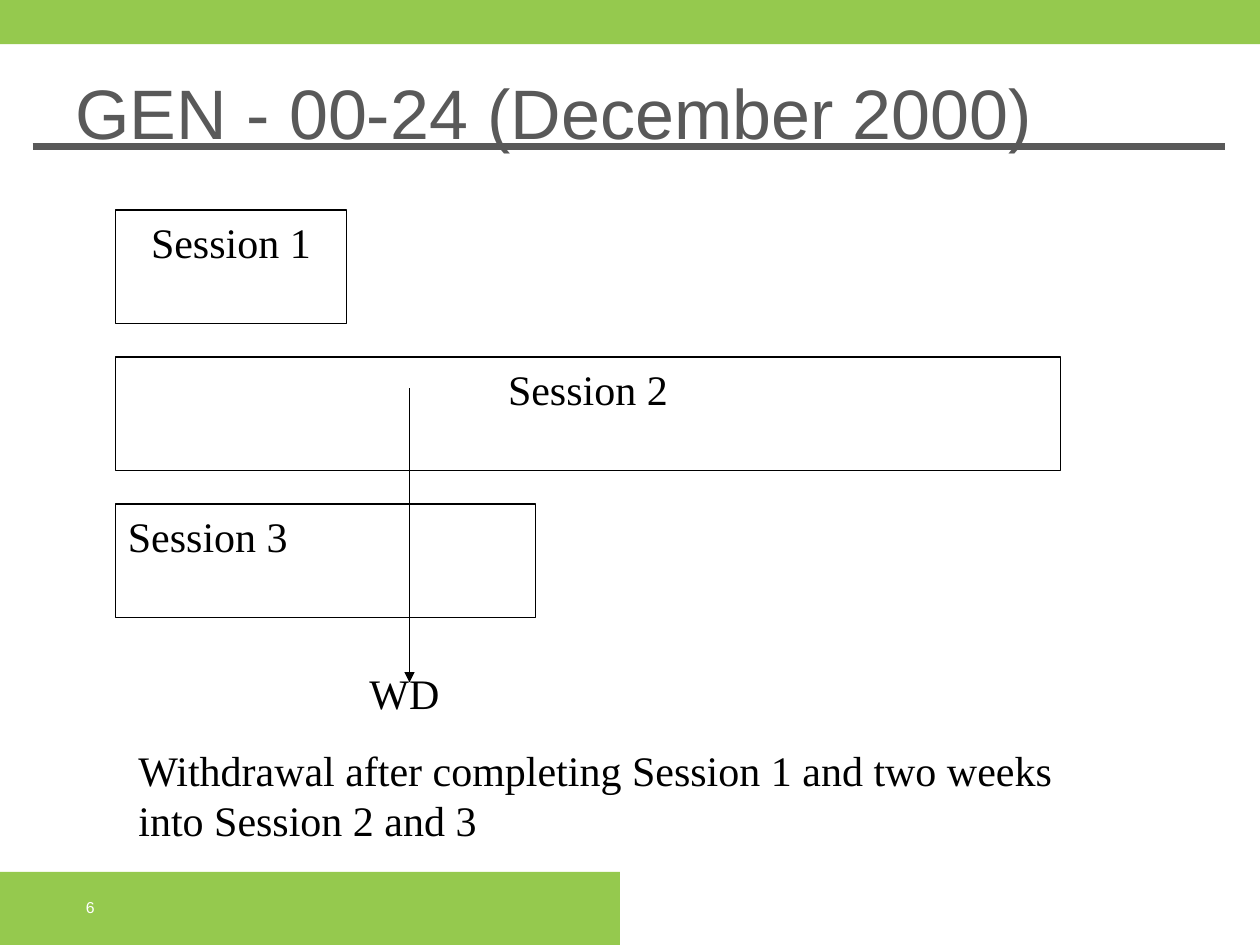
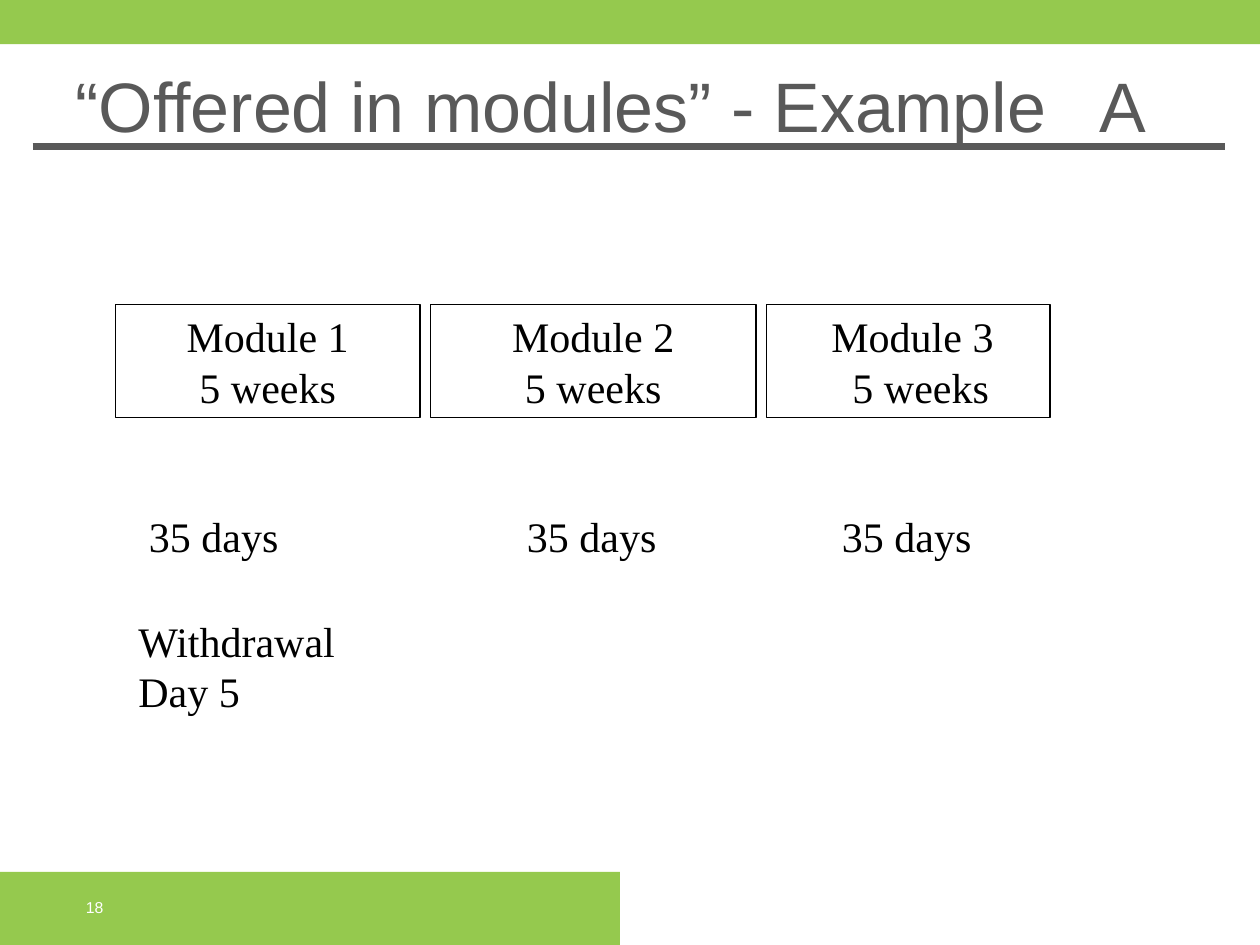
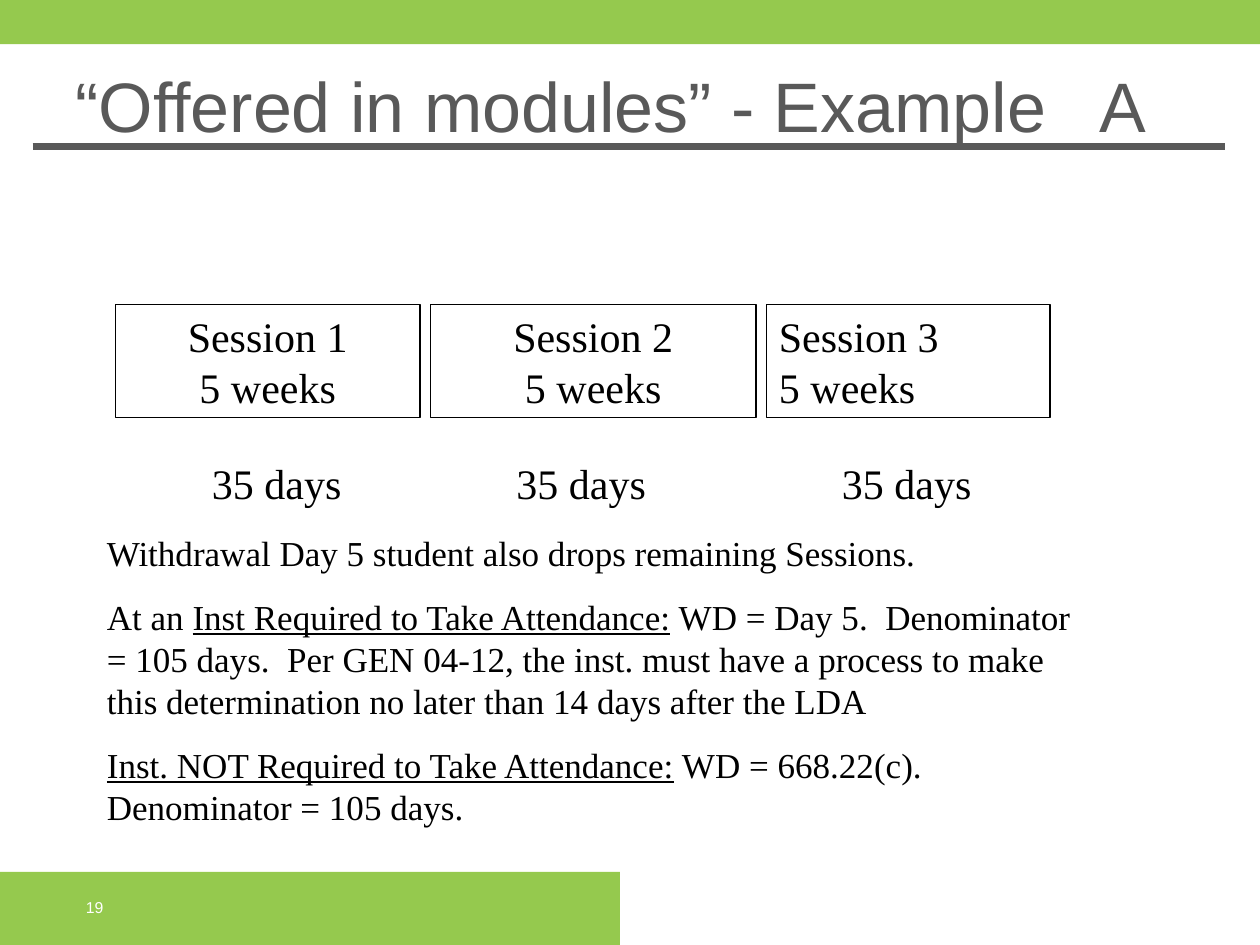
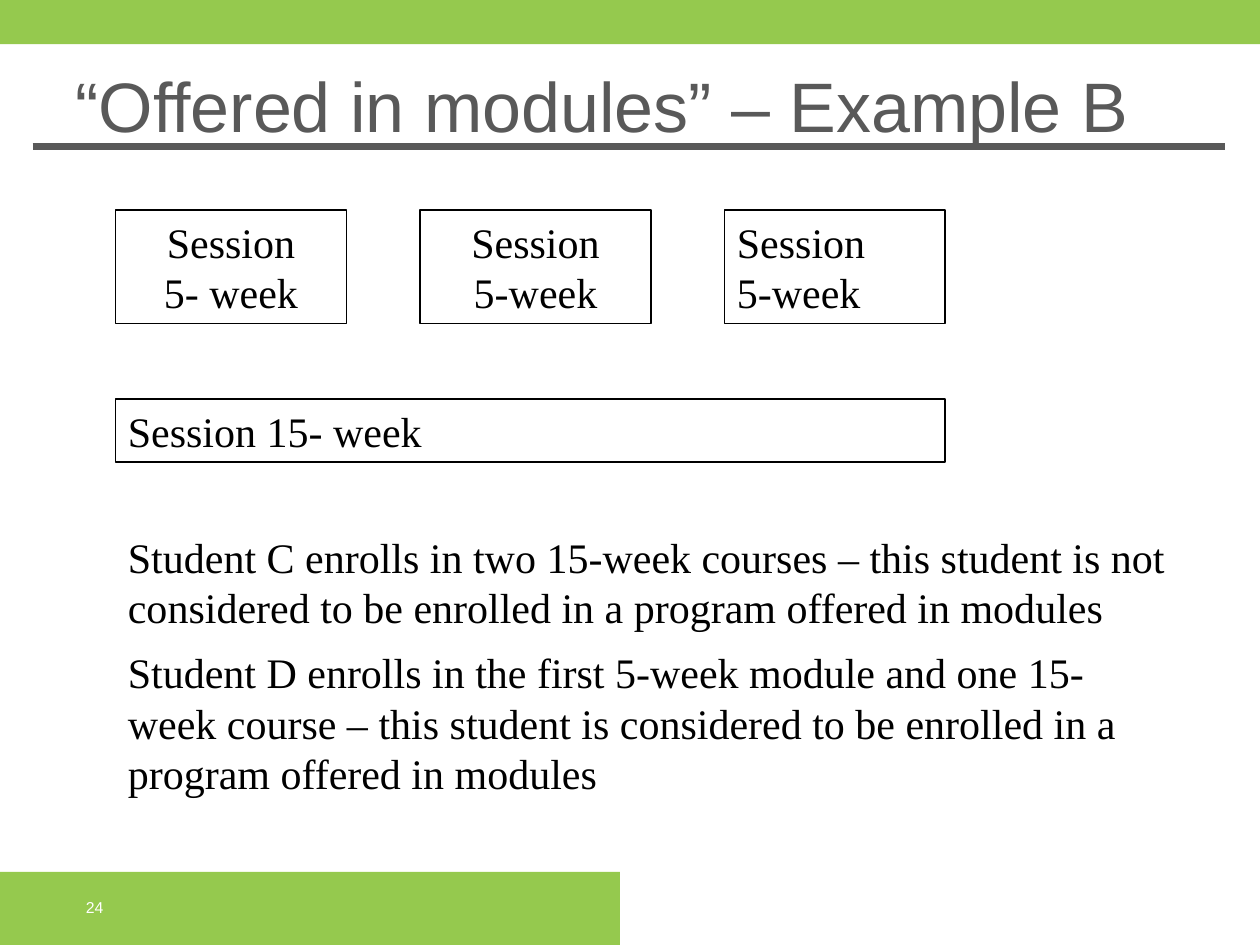
from pptx import Presentation
from pptx.dml.color import RGBColor
from pptx.enum.shapes import MSO_CONNECTOR, MSO_SHAPE
from pptx.enum.text import MSO_ANCHOR, MSO_AUTO_SIZE, PP_ALIGN
from pptx.oxml.ns import qn
from pptx.util import Pt
from lxml import etree

RECT = MSO_SHAPE.RECTANGLE
LINE = MSO_CONNECTOR.STRAIGHT
TOP, MID = MSO_ANCHOR.TOP, MSO_ANCHOR.MIDDLE
LEFT, MIDDLE = PP_ALIGN.LEFT, PP_ALIGN.CENTER
FIXED = MSO_AUTO_SIZE.NONE

GREEN = RGBColor(0x95, 0xC9, 0x4E)
GREY = RGBColor(0x59, 0x59, 0x59)
BLACK = RGBColor(0, 0, 0)
WHITE = RGBColor(255, 255, 255)

SANS, SERIF = "Arial", "Times New Roman"
EDGE = 66
TALL = 64.8


def write(frame, paras, size=24, font=SERIF, color=BLACK, align=LEFT,
          gap=0, indents=(), anchor=TOP):
    frame.word_wrap = True
    frame.auto_size = FIXED
    frame.vertical_anchor = anchor
    frame.margin_left = frame.margin_right = Pt(7.2)
    frame.margin_top = frame.margin_bottom = Pt(3.6)
    for i, runs in enumerate(paras):
        para = frame.add_paragraph() if i else frame.paragraphs[0]
        para.alignment = align
        if i and gap:
            para.space_before = Pt(gap)
        if i < len(indents):
            para._p.get_or_add_pPr().set("marL", str(Pt(indents[i])))
        for part in [runs] if isinstance(runs, str) else runs:
            words, under = (part, False) if isinstance(part, str) else part
            run = para.add_run()
            run.text = words
            run.font.name = font
            run.font.size = Pt(size)
            run.font.color.rgb = color
            if under:
                run.font.underline = True


def note(slide, x, y, w, h, paras, **style):
    box = slide.shapes.add_textbox(Pt(x), Pt(y), Pt(w), Pt(h))
    write(box.text_frame, paras, **style)


def block(slide, x, y, w, h):
    shape = slide.shapes.add_shape(RECT, Pt(x), Pt(y), Pt(w), Pt(h))
    shape.shadow.inherit = False
    return shape


def band(slide, x, y, w, h):
    shape = block(slide, x, y, w, h)
    shape.fill.solid()
    shape.fill.fore_color.rgb = GREEN
    shape.line.fill.background()
    return shape


def card(slide, x, y, w, h, paras, **style):
    shape = block(slide, x, y, w, h)
    shape.fill.background()
    shape.line.color.rgb = BLACK
    shape.line.width = Pt(0.75)
    write(shape.text_frame, paras, **style)


def stroke(slide, x1, y1, x2, y2, color, width, arrow=False):
    line = slide.shapes.add_connector(LINE, Pt(x1), Pt(y1), Pt(x2), Pt(y2))
    line.line.color.rgb = color
    line.line.width = Pt(width)
    props = line.element.spPr
    if arrow:
        etree.SubElement(props.find(qn("a:ln")), qn("a:tailEnd"), type="triangle")
    etree.SubElement(props, qn("a:effectLst"))
    return line


def dress(layout, slide):
    parts = [
        band(slide, 0, 498.24, 354.24, 42.48),
        band(slide, -1.44, 0, 722.16, 25.2),
        stroke(slide, 18.72, 83.52, 699.84, 83.52, GREY, 4),
    ]
    for part in parts:
        layout.shapes.element.append(part.element)


def head(slide, words, number, y=32.4, h=105.12):
    title = slide.shapes.title
    title.left, title.top, title.width, title.height = Pt(36), Pt(y), Pt(673.2), Pt(h)
    write(title.text_frame, [words], size=40, font=SANS, color=GREY)
    note(slide, 42, 504, 168, 28.8, [str(number)],
         size=9, font=SANS, color=WHITE, anchor=MID)


def row(slide, x, y, gap, cards):
    for w, paras, style in cards:
        card(slide, x, y, w, TALL, paras, **style)
        x += w + gap


def days(slide, y, lefts):
    for x, w in zip(lefts, (144, 156, 156)):
        note(slide, x, y, w, 36, ["35 days"])


def stack(slide):
    head(slide, "GEN - 00-24 (December 2000)", 6, 36, 48.24)
    bars = ((132, MIDDLE), (540, MIDDLE), (240, LEFT))
    for i, (w, align) in enumerate(bars):
        card(slide, EDGE, 120 + 84 * i, w, TALL, [f"Session {i + 1}"], align=align)
    note(slide, 72, 378, 564, 108.72,
         ["WD", "Withdrawal after completing Session 1 and two weeks into Session 2 and 3"],
         gap=15, indents=(132,))
    stroke(slide, 234, 222, 234, 390, BLACK, 0.75, True)


def trio(slide, number, kind, last, y, lefts):
    head(slide, "“Offered in modules” - Example\t A", number)
    mid = {"align": MIDDLE}
    cards = [(w, [f"{kind} {i}", "5 weeks"], style)
             for i, (w, style) in enumerate(((174, mid), (186, mid), (162, last)), 1)]
    row(slide, EDGE, 174, 6, cards)
    days(slide, y, lefts)


def modules(slide):
    trio(slide, 18, "Module", {"indents": (30, 42)}, 288, (78, 294, 474))
    note(slide, 72, 348, 150, TALL, ["Withdrawal Day 5"])


def rules(slide):
    trio(slide, 19, "Session", {}, 258, (114, 288, 474))
    note(slide, 54, 300, 576, 176.4, [
        "Withdrawal Day 5 student also drops remaining Sessions.",
        ["At an ", ("Inst Required to Take Attendance:", True),
         " WD = Day 5.  Denominator = 105 days.  Per GEN 04-12, the inst. must have "
         "a process to make this determination no later than 14 days after the LDA"],
        [("Inst. NOT Required to Take Attendance:", True),
         " WD = 668.22(c). Denominator = 105 days."],
    ], size=20, gap=12.5)


def mixed(slide):
    head(slide, "“Offered in modules” – Example B", 24, h=81.36)
    row(slide, EDGE, 120, 42, [
        (132, ["Session", "5- week"], {"align": MIDDLE}),
        (132, ["Session", "5-week"], {"align": MIDDLE}),
        (126, ["Session", "5-week"], {}),
    ])
    card(slide, EDGE, 228, 474, 36, ["Session 15- week"])
    note(slide, EDGE, 300, 612.72, 122.4, [
        "Student C enrolls in two 15-week courses – this student is not",
        "considered to be enrolled in a program offered in modules",
    ])
    note(slide, EDGE, 366, 606, 122.4, [
        "Student D enrolls in the first 5-week module and one 15-week course – this "
        "student is considered to be enrolled in a program offered in modules",
    ])


def main():
    deck = Presentation()
    deck.slide_width, deck.slide_height = Pt(720), Pt(540)
    layout = deck.slide_layouts[5]
    for i, build in enumerate((stack, modules, rules, mixed)):
        slide = deck.slides.add_slide(layout)
        if i == 0:
            dress(layout, slide)
        build(slide)
    deck.save("out.pptx")


if __name__ == "__main__":
    main()
